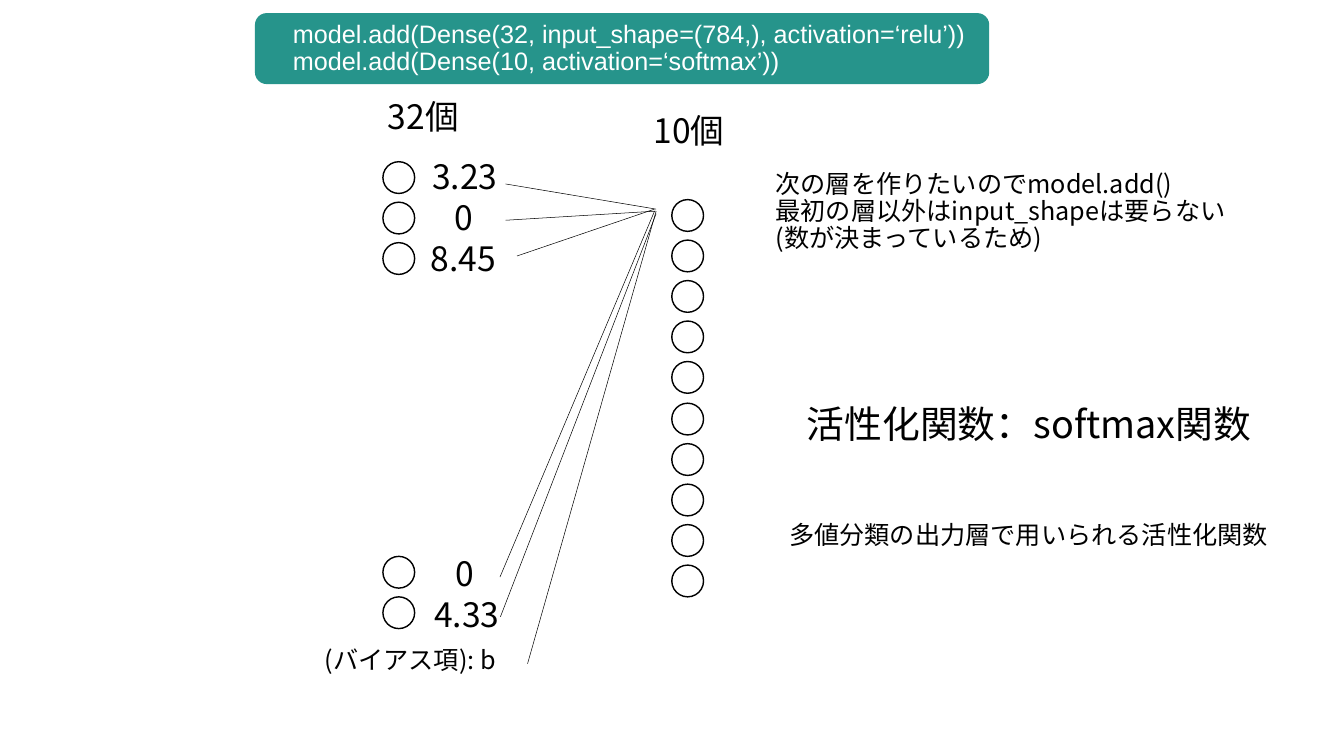
import pptx
import pptx.util
import pptx.dml.color
import pptx.enum.shapes
import pptx.enum.text
import pptx.oxml
import pptx.oxml.ns

Cm, Pt = pptx.util.Cm, pptx.util.Pt
BLACK = pptx.dml.color.RGBColor(0x00, 0x00, 0x00)
WHITE = pptx.dml.color.RGBColor(0xFF, 0xFF, 0xFF)
TEAL = pptx.dml.color.RGBColor(0x26, 0x94, 0x8B)
SHAPE = pptx.enum.shapes.MSO_SHAPE
ALIGN = pptx.enum.text.PP_ALIGN
SANS = "Noto Sans CJK JP"
NS = pptx.oxml.ns.nsdecls("a")

deck = pptx.Presentation()
deck.slide_width, deck.slide_height = Cm(67.74), Cm(38.1)
slide = deck.slides.add_slide(deck.slide_layouts[6])
shapes = slide.shapes


def write(lines, left, top, width, height, size, align=ALIGN.LEFT,
          name=SANS, color=BLACK):
    box = shapes.add_textbox(Cm(left), Cm(top), Cm(width), Cm(height))
    frame = box.text_frame
    frame.word_wrap = True
    frame.text = "\n".join(lines)
    for para in frame.paragraphs:
        para.alignment = align
        para.line_spacing = 0.9
        for run in para.runs:
            look = {"size": Pt(size), "name": name}
            for key, value in look.items():
                setattr(run.font, key, value)
            run.font.color.rgb = color
            run.font._element.append(
                pptx.oxml.parse_xml(f'<a:ea {NS} typeface="{name}"/>'))
    return frame


# Neurons: left edge, top of the first one, count
DOT, STEP = 1.6, 2.04
for left, top, count in [(19.3, 8.15, 3), (19.3, 28.04, 2),
                         (33.86, 10.06, 5), (33.86, 20.32, 5)]:
    for i in range(count):
        dot = shapes.add_shape(SHAPE.OVAL, Cm(left), Cm(top + i * STEP),
                               Cm(DOT), Cm(DOT))
        dot.shadow.inherit = False
        dot.fill.background()
        dot.line.color.rgb = BLACK
        dot.line.width = Pt(2)

# Weights into the first output neuron
for x1, y1, x2, y2 in [(25.48, 9.27, 33.07, 10.54),
                       (25.48, 11.1, 33.05, 10.64),
                       (26.06, 12.9, 32.99, 10.54),
                       (25.2, 29.08, 32.99, 10.64),
                       (25.22, 31.09, 33.07, 10.77),
                       (26.59, 33.45, 33.07, 10.64)]:
    line = shapes.add_connector(pptx.enum.shapes.MSO_CONNECTOR.STRAIGHT,
                                Cm(x1), Cm(y1), Cm(x2), Cm(y2))
    line.line.color.rgb = BLACK
    line.line.width = Pt(0.75)
    line._element.spPr.append(pptx.oxml.parse_xml(f"<a:effectLst {NS}/>"))

# Code band
band = shapes.add_shape(SHAPE.ROUNDED_RECTANGLE, Cm(12.85), Cm(0.66),
                        Cm(37.01), Cm(3.58))
band.shadow.inherit = False
band.fill.solid()
band.fill.fore_color.rgb = TEAL
band.line.fill.background()
code = write(["model.add(Dense(32, input_shape=(784,), activation=‘relu’))",
              "model.add(Dense(10, activation=‘softmax’))"],
             14.61, 0.94, 36.88, 3.05, 36, name="Arial", color=WHITE)
code.vertical_anchor = pptx.enum.text.MSO_ANCHOR.MIDDLE
for side in ("left", "top", "right", "bottom"):
    setattr(code, f"margin_{side}", Cm(0.15))

# Layer sizes, neuron values and bias
for text, left, top, width in [("32個", 17.68, 4.95, 7.32),
                               ("10個", 31.06, 5.64, 7.32),
                               ("3.23", 21.29, 7.98, 4.29),
                               ("0", 21.21, 10.03, 4.29),
                               ("8.45", 21.21, 12.12, 4.29),
                               ("0", 21.29, 27.99, 4.29),
                               ("4.33", 21.39, 30.02, 4.29)]:
    write([text], left, top, width, 2.11, 48, ALIGN.CENTER)
write(["(バイアス項): b"], 15.29, 32.54, 10.77, 1.65, 36, ALIGN.CENTER)

# Notes on the right
write(["次の層を作りたいのでmodel.add()",
       "最初の層以外はinput_shapeは要らない",
       "(数が決まっているため)"], 38.84, 8.53, 27.2, 5.79, 36)
write(["活性化関数：softmax関数"], 40.41, 20.32, 24.18, 2.34, 54)
write(["多値分類の出力層で用いられる活性化関数"], 39.52, 26.21, 25.91, 1.65, 36)

deck.save("out.pptx")
